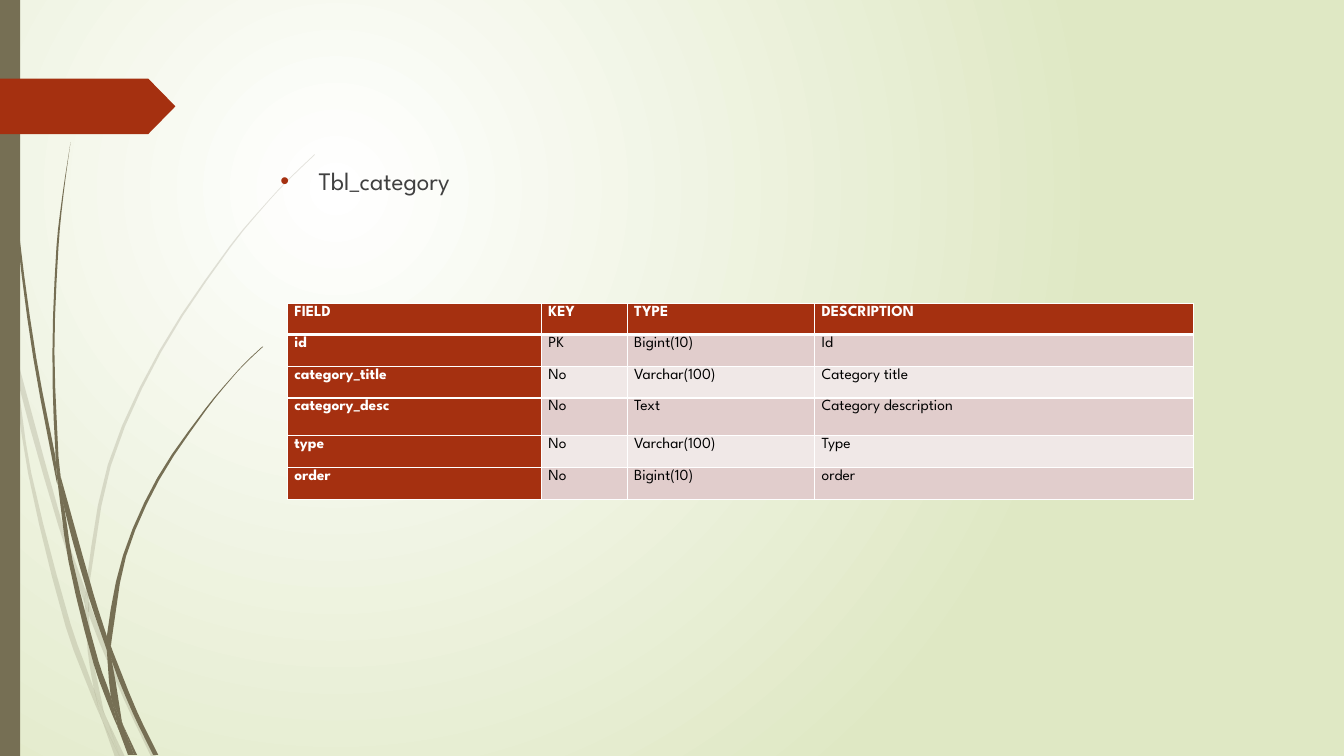
from math import dist

from lxml import etree
from pptx import Presentation
from pptx import util as u
from pptx.dml import color as dml
from pptx.enum import shapes, text
from pptx.oxml import ns

COLOURS = {
    "white": "FFFFFF", "black": "000000", "leaf": "DFE8C4", "olive": "766F54",
    "rust": "A53010", "heading": "404040", "band_dark": "E1CDCC", "band_light": "F0E8E7",
}
RGB = {name: dml.RGBColor.from_string(value) for name, value in COLOURS.items()}
FONT = "League Spartan"


def smooth(knots, steps=3):
    """Return points on a smooth curve through the knots, spaced by chord length."""
    last = len(knots) - 1
    at = [0]
    for a, b in zip(knots, knots[1:]):
        at.append(at[-1] + max(dist(a, b), 0.01))
    slopes = []
    for i in range(last + 1):
        lo, hi = max(i - 1, 0), min(i + 1, last)
        slopes.append([(knots[hi][k] - knots[lo][k]) / (at[hi] - at[lo]) for k in (0, 1)])
    curve = [knots[0]]
    for i in range(last):
        span = at[i + 1] - at[i]
        for step in range(1, steps + 1):
            t = step / steps
            curve.append(tuple(
                (2 * t**3 - 3 * t**2 + 1) * knots[i][k] + (3 * t**2 - 2 * t**3) * knots[i + 1][k]
                + span * ((t**3 - 2 * t**2 + t) * slopes[i][k] + (t**3 - t**2) * slopes[i + 1][k])
                for k in (0, 1)))
    return curve


def paint(shape, colour):
    shape.shadow.inherit = False
    shape.fill.solid()
    shape.fill.fore_color.rgb = RGB[colour]
    shape.line.fill.background()


prs = Presentation()
prs.slide_width, prs.slide_height = u.Inches(13.33), u.Inches(7.5)
slide = prs.slides.add_slide(prs.slide_layouts[1])
title, heading = slide.placeholders
title.element.getparent().remove(title.element)

# Background: a glow centred in the upper left
glow = slide.background.fill
glow.gradient()
for stop, colour in zip(glow.gradient_stops, ("white", "leaf")):
    stop.color.rgb = RGB[colour]
gradient = slide.element.find(".//" + ns.qn("a:gradFill"))
gradient.remove(gradient.find(ns.qn("a:lin")))
circle = etree.SubElement(gradient, ns.qn("a:path"), path="circle")
etree.SubElement(circle, ns.qn("a:fillToRect"), l="50000", t="50000", r="100000", b="100000")

# Grass: each piece of a blade is its two edges, one down and one back up
pale_grass = [
    ([(0, 2.82), (0, 2.99), (0.1, 3.44), (0.11, 3.5)], [(0.09, 3.22), (0, 2.82)]),
    ([(0.14, 3.45), (0.17, 3.76), (0.58, 5.22), (0.84, 5.99)],
     [(0.85, 5.86), (0.62, 5.2), (0.14, 3.45)]),
    ([(0.88, 5.96), (0.88, 6.1), (1.23, 6.94), (1.5, 7.51)],
     [(1.55, 7.51), (1.27, 6.92), (0.92, 6.07), (0.88, 5.96)]),
    ([(1.05, 7.11), (1.19, 7.51)], [(1.24, 7.51), (1.05, 7.11)]),
    ([(0.11, 3.5), (0.28, 4.7), (0.65, 6.21), (0.92, 6.93), (1.01, 7.14)],
     [(0.99, 7.07), (0.93, 6.83), (0.7, 6.19), (0.31, 4.69), (0.17, 3.76), (0.11, 3.5)]),
    ([(0.84, 5.99), (0.87, 6.46), (0.93, 6.83), (0.96, 6.92), (1.05, 7.11)],
     [(1.03, 7.06), (0.91, 6.46), (0.88, 6.1), (0.84, 5.99)]),
    ([(3.12, 1.53), (2.89, 1.75), (2.68, 1.97), (2.28, 2.44), (1.58, 3.48), (1.07, 4.61),
      (0.85, 5.84), (0.88, 5.96)],
     [(0.88, 5.84), (1.1, 4.62), (1.6, 3.49), (2.29, 2.45), (2.68, 1.98), (2.9, 1.75),
      (3.12, 1.54)]),
    ([(1.01, 7.14), (1.14, 7.51)], [(1.19, 7.51), (1.01, 7.14)]),
    ([(0.85, 5.86), (0.84, 5.99), (0.88, 6.08)], [(0.88, 6.1), (0.88, 5.96), (0.85, 5.86)]),
    ([(0.93, 6.83), (0.99, 7.07), (1.01, 7.14), (1.19, 7.51)],
     [(1.19, 7.51), (1.05, 7.11), (0.96, 6.92), (0.93, 6.83)]),
]
dark_grass = [
    ([(0.03, 0), (0.04, 0.48), (0.07, 1.1), (0.17, 2.33), (0.33, 3.55), (0.56, 4.77),
      (0.57, 4.81)],
     [(0.55, 4.53), (0.36, 3.55), (0.19, 2.32), (0.08, 1.09), (0.05, 0.48), (0.04, 0)]),
    ([(0.6, 4.72), (0.64, 5.05), (0.88, 5.92), (1.06, 6.45)],
     [(1.06, 6.31), (0.93, 5.9), (0.6, 4.72)]),
    ([(1.1, 6.41), (1.11, 6.56), (1.32, 7.08), (1.52, 7.49)],
     [(1.57, 7.49), (1.36, 7.06), (1.13, 6.49), (1.1, 6.41)]),
    ([(0.57, 4.77), (0.68, 5.57), (0.93, 6.59), (1.11, 7.08), (1.17, 7.22)],
     [(1.16, 7.17), (1.1, 6.91), (0.98, 6.57), (0.72, 5.56), (0.64, 5.05), (0.57, 4.77)]),
    ([(0.7, 1.41), (0.62, 1.93), (0.56, 2.45), (0.52, 3.49), (0.55, 4.49), (0.6, 4.72)],
     [(0.58, 4.53), (0.54, 3.49), (0.58, 2.45), (0.63, 1.93), (0.7, 1.41)]),
    ([(1.22, 7.19), (1.33, 7.49)], [(1.36, 7.49), (1.22, 7.19)]),
    ([(0.55, 4.49), (0.57, 4.77), (0.64, 5.05)], [(0.6, 4.72), (0.55, 4.49)]),
    ([(2.6, 3.44), (2.45, 3.58), (2.31, 3.73), (2.04, 4.05), (1.56, 4.74), (1.22, 5.51),
      (1.06, 6.31), (1.1, 6.41)],
     [(1.11, 6.33), (1.25, 5.52), (1.58, 4.76), (2.05, 4.06), (2.31, 3.74), (2.45, 3.59),
      (2.61, 3.44)]),
    ([(1.17, 7.22), (1.27, 7.49)], [(1.31, 7.49), (1.17, 7.22)]),
    ([(1.06, 6.45), (1.1, 6.91), (1.16, 7.06), (1.22, 7.19)],
     [(1.21, 7.16), (1.11, 6.56), (1.06, 6.45)]),
    ([(1.06, 6.31), (1.06, 6.45), (1.11, 6.56)], [(1.1, 6.41), (1.06, 6.31)]),
    ([(1.1, 6.91), (1.16, 7.17), (1.17, 7.22), (1.3, 7.49)],
     [(1.33, 7.49), (1.22, 7.19), (1.16, 7.06), (1.1, 6.91)]),
]
for pieces, opacity in ((pale_grass, 20), (dark_grass, 100)):
    tuft = slide.shapes.add_group_shape()
    for down, up in pieces:
        outline = [(u.Inches(x), u.Inches(y)) for x, y in smooth(down) + smooth(up)]
        builder = tuft.shapes.build_freeform(*outline[0])
        builder.add_line_segments(outline[1:], close=True)
        blade = builder.convert_to_shape()
        paint(blade, "olive")
        if opacity < 100:
            tint = blade.element.spPr.find(ns.qn("a:solidFill"))[0]
            etree.SubElement(tint, ns.qn("a:alpha"), val=str(opacity * 1000))

side_bar = slide.shapes.add_shape(shapes.MSO_SHAPE.RECTANGLE, 0, 0, u.Inches(0.2), u.Inches(7.5))
paint(side_bar, "olive")
arrow = slide.shapes.add_shape(
    shapes.MSO_SHAPE.PENTAGON, 0, u.Inches(0.78), u.Inches(1.74), u.Inches(0.55))
arrow.adjustments[0] = 0.49
paint(arrow, "rust")

# Heading
heading.left, heading.top = u.Inches(2.68), u.Inches(1.59)
heading.width, heading.height = u.Inches(9.75), u.Inches(4.13)
slide.shapes._spTree.append(heading.element)
line = heading.text_frame.paragraphs[0]
line.space_before = u.Pt(10)
table_name = line.add_run()
table_name.text = "Tbl_category"
table_name.font.name, table_name.font.size = FONT, u.Pt(18)
table_name.font.color.rgb = RGB["heading"]
bullet = line._p.get_or_add_pPr()
bullet.set("marL", str(u.Inches(0.38)))
bullet.set("indent", str(u.Inches(-0.38)))
bullet_colour = etree.SubElement(bullet, ns.qn("a:buClr"))
etree.SubElement(bullet_colour, ns.qn("a:srgbClr"), val=COLOURS["rust"])
etree.SubElement(bullet, ns.qn("a:buFont"), typeface="Arial")
etree.SubElement(bullet, ns.qn("a:buChar"), char="•")

# Field table
fields = [
    ("FIELD", "KEY", "TYPE", "DESCRIPTION"),
    ("id", "PK", "Bigint(10)", "Id"),
    ("category_title", "No", "Varchar(100)", "Category title"),
    ("category_desc", "No", "Text", "Category description"),
    ("type", "No", "Varchar(100)", "Type"),
    ("order", "No", "Bigint(10)", "order"),
]
widths = [2.52, 0.85, 1.86, 3.76]
heights = [0.31, 0.32, 0.31, 0.37, 0.32, 0.32]
table = slide.shapes.add_table(
    len(heights), len(widths), u.Inches(2.85), u.Inches(3.01),
    u.Inches(sum(widths)), u.Inches(sum(heights))).table
for column, width in zip(table.columns, widths):
    column.width = u.Inches(width)
for r, (row, height) in enumerate(zip(fields, heights)):
    table.rows[r].height = u.Inches(height)
    for c, wording in enumerate(row):
        cell = table.cell(r, c)
        is_label = r == 0 or c == 0
        cell.margin_left = cell.margin_right = u.Inches(0.07)
        cell.margin_top = cell.margin_bottom = 0
        cell.fill.solid()
        band = "band_dark" if r % 2 else "band_light"
        cell.fill.fore_color.rgb = RGB["rust" if is_label else band]
        entry = cell.text_frame.paragraphs[0]
        entry.line_spacing = 1.15
        if r == len(fields) - 1:
            entry.alignment = text.PP_ALIGN.JUSTIFY
        run = entry.add_run()
        run.text = wording
        run.font.name, run.font.size, run.font.bold = FONT, u.Pt(11), is_label
        run.font.color.rgb = RGB["white" if is_label else "black"]
        borders = {"lnL": 1, "lnR": 1, "lnT": 3 if r == 1 else 1, "lnB": 3 if r == 0 else 1}
        properties = cell._tc.get_or_add_tcPr()
        for position, (side, weight) in enumerate(borders.items()):
            border = etree.Element(ns.qn("a:" + side), w=str(u.Pt(weight)))
            ink = etree.SubElement(border, ns.qn("a:solidFill"))
            etree.SubElement(ink, ns.qn("a:srgbClr"), val=COLOURS["white"])
            properties.insert(position, border)

prs.save("out.pptx")
